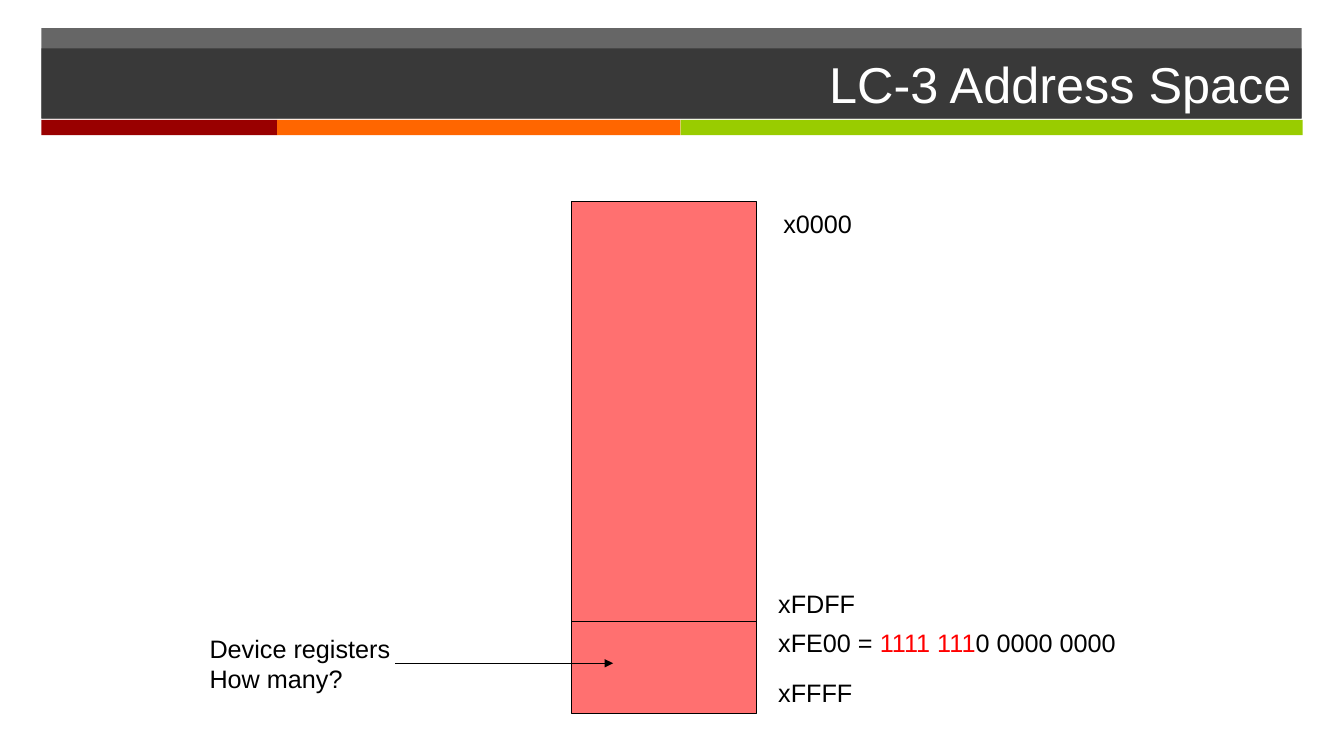
from dataclasses import dataclass

from lxml import etree
from pptx import Presentation
from pptx.dml.color import RGBColor
from pptx.enum.shapes import MSO_CONNECTOR, MSO_SHAPE
from pptx.enum.text import MSO_ANCHOR, MSO_AUTO_SIZE, PP_ALIGN
from pptx.oxml.ns import qn
from pptx.util import Inches, Pt

RECTANGLE = MSO_SHAPE.RECTANGLE
STRAIGHT = MSO_CONNECTOR.STRAIGHT
MIDDLE = MSO_ANCHOR.MIDDLE
RIGHT = PP_ALIGN.RIGHT
NO_AUTOFIT = MSO_AUTO_SIZE.NONE
FIT_SHAPE = MSO_AUTO_SIZE.SHAPE_TO_FIT_TEXT
TITLE_ONLY = 5


@dataclass(frozen=True)
class Theme:
    font: str = "Arial"
    title_size: int = 36
    label_size: int = 18
    line_width: float = 0.75
    banner: str = "262626"
    banner_opacity: int = 70
    stripes: tuple = ("990000", "FF6600", "99CC00")
    memory: str = "FF7070"
    ink: str = "000000"
    title: str = "FFFFFF"
    highlight: str = "FF0000"


THEME = Theme()


def color(value):
    return RGBColor.from_string(value)


def fill_shape(shape, value, opacity=100):
    shape.fill.solid()
    shape.fill.fore_color.rgb = color(value)
    if opacity < 100:
        rgb = shape.element.spPr.find(f"{qn('a:solidFill')}/{qn('a:srgbClr')}")
        etree.SubElement(rgb, qn("a:alpha"), val=str(opacity * 1000))


def style_line(line):
    line.color.rgb = color(THEME.ink)
    line.width = Pt(THEME.line_width)


def style_font(font, size, value):
    font.name = THEME.font
    font.size = Pt(size)
    font.color.rgb = color(value)


def add_rectangle(slide, left, top, width, height, fill, opacity=100, outlined=False):
    shape = slide.shapes.add_shape(
        RECTANGLE, Inches(left), Inches(top), Inches(width), Inches(height)
    )
    shape.shadow.inherit = False
    fill_shape(shape, fill, opacity)
    if outlined:
        style_line(shape.line)
    else:
        shape.line.fill.background()


def add_line(slide, left, right, top, arrow=False):
    connector = slide.shapes.add_connector(
        STRAIGHT, Inches(left), Inches(top), Inches(right), Inches(top)
    )
    style_line(connector.line)
    properties = connector.element.spPr
    if arrow:
        etree.SubElement(properties.find(qn("a:ln")), qn("a:tailEnd"), type="triangle")
    etree.SubElement(properties, qn("a:effectLst"))


def add_label(slide, left, top, width, height, *lines):
    box = slide.shapes.add_textbox(
        Inches(left), Inches(top), Inches(width), Inches(height)
    )
    frame = box.text_frame
    frame.word_wrap = False
    frame.auto_size = FIT_SHAPE
    frame.text = "\n".join(lines)
    for paragraph in frame.paragraphs:
        style_font(paragraph.font, THEME.label_size, THEME.ink)
    return frame.paragraphs[0]


def add_run(paragraph, text, value):
    run = paragraph.add_run()
    run.text = text
    style_font(run.font, THEME.label_size, value)


def add_banner(slide, left, stripe_edges):
    add_rectangle(slide, left, 0.28, 12.5, 0.89, THEME.banner, THEME.banner_opacity)
    for start, end, fill in zip(stripe_edges, stripe_edges[1:], THEME.stripes):
        add_rectangle(slide, start, 1.19, end - start, 0.15, fill)


def place_title(slide, text, left):
    title = slide.shapes.title
    slide.shapes.element.append(title.element)
    title.left, title.top = Inches(left), Inches(0.48)
    title.width, title.height = Inches(12.5), Inches(0.7)
    fill_shape(title, THEME.banner, THEME.banner_opacity)
    frame = title.text_frame
    frame.text = text
    frame.auto_size = NO_AUTOFIT
    frame.vertical_anchor = MIDDLE
    paragraph = frame.paragraphs[0]
    paragraph.alignment = RIGHT
    style_font(paragraph.font, THEME.title_size, THEME.title)


def add_memory_map(slide):
    left, width, device_top = 5.67, 1.83, 6.17
    add_rectangle(slide, left, 2, width, 5.08, THEME.memory, outlined=True)
    add_line(slide, left, left + width, device_top)
    add_label(slide, 7.67, 2.02, 0.88, 0.4, "x0000")
    add_label(slide, 7.62, 5.79, 0.97, 0.4, "xFDFF")
    device_start = add_label(slide, 7.62, device_top, 3.64, 0.4)
    add_run(device_start, "xFE00 = ", THEME.ink)
    add_run(device_start, "1111 111", THEME.highlight)
    add_run(device_start, "0 0000 0000", THEME.ink)
    add_label(slide, 7.62, 6.67, 0.94, 0.4, "xFFFF")
    add_label(slide, 1.98, 6.23, 2.01, 0.71, "Device registers", "How many?")
    add_line(slide, 3.92, 6.08, 6.58, arrow=True)


def main():
    presentation = Presentation()
    presentation.slide_width = Inches(13.33)
    presentation.slide_height = Inches(7.5)
    slide = presentation.slides.add_slide(presentation.slide_layouts[TITLE_ONLY])
    left = 0.41
    add_banner(slide, left, (left, 2.75, 6.75, 12.92))
    place_title(slide, "LC-3 Address Space", left)
    add_memory_map(slide)
    presentation.save("out.pptx")


if __name__ == "__main__":
    main()
